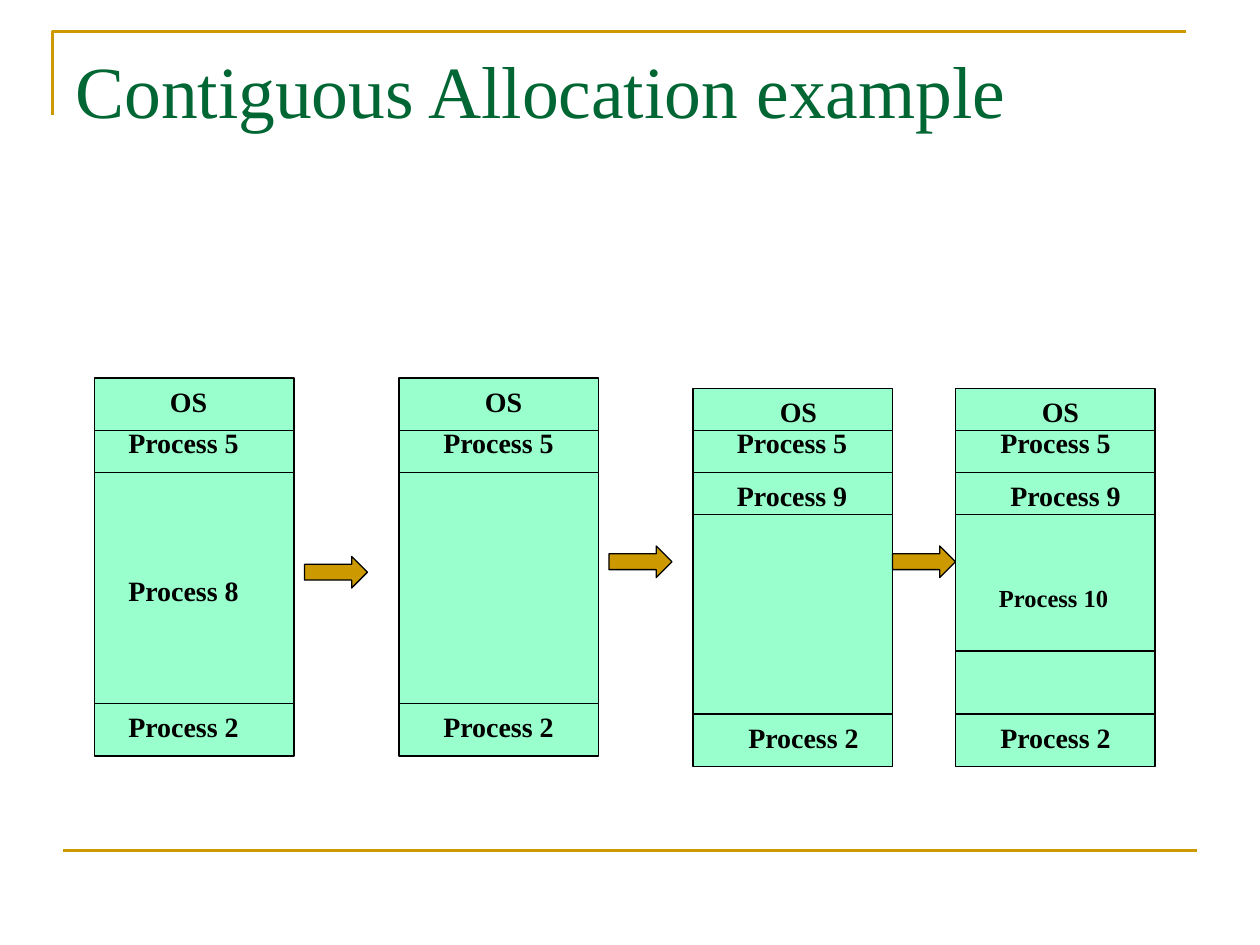
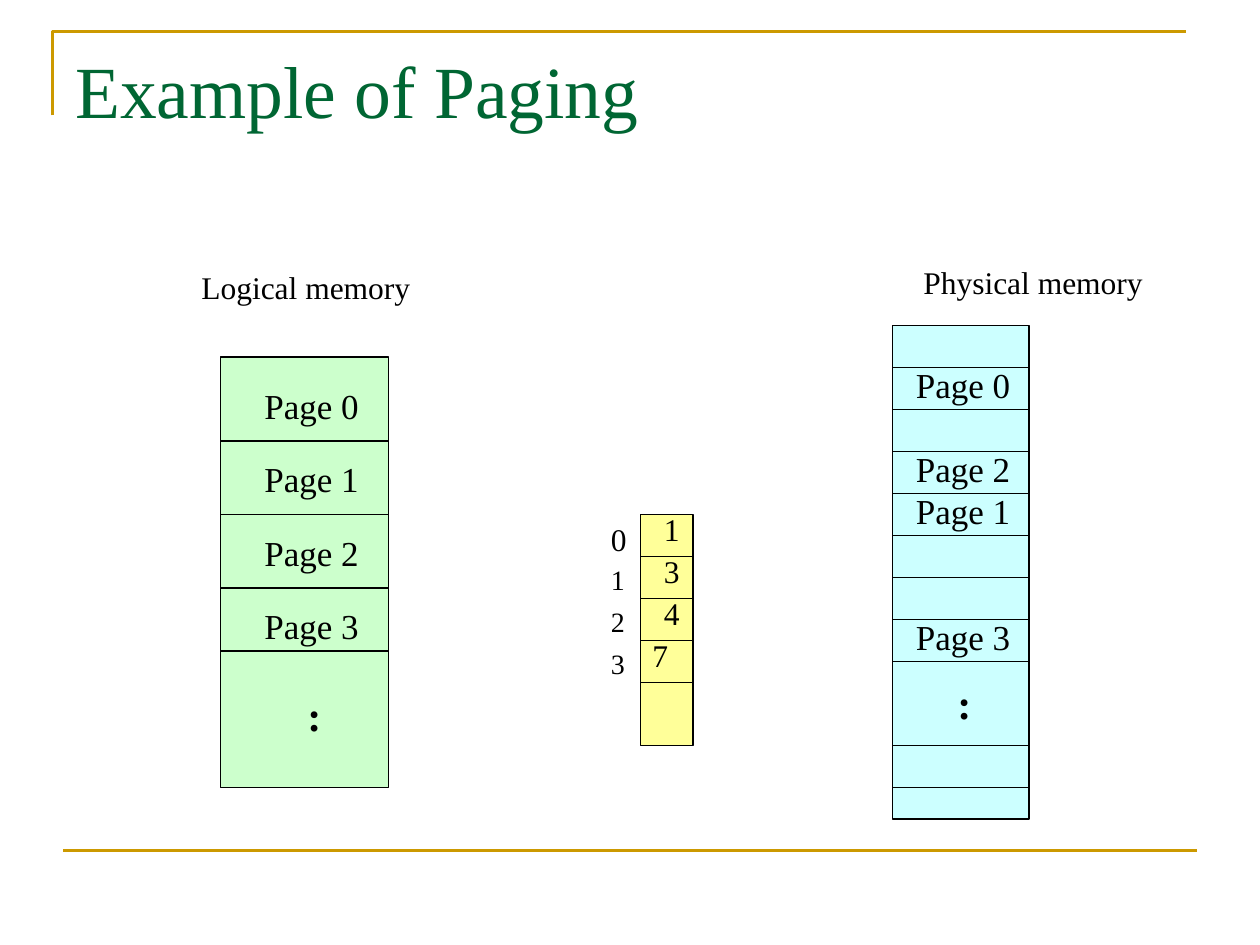
"""Two slides on memory management: contiguous allocation and paging."""
from dataclasses import dataclass

from lxml import etree
from pptx import Presentation
from pptx.dml.color import RGBColor
from pptx.enum import shapes, text
from pptx.oxml import ns
from pptx.util import Inches, Length, Pt

COLORS = {
    "gold": "CC9900", "title": "006633", "black": "000000",
    "mint": "99FFCC", "green": "CCFFCC", "yellow": "FFFF99", "cyan": "CCFFFF",
}
FONT = "Times New Roman"
THIN, RULE = 0.74, 1.5
GRID = 12  # drawn parts sit on twelfths of an inch
ROW = 1 / 3  # height of a regular memory cell, in inches
PAGE_WIDTH, DIGIT_WIDTH = 0.95, 0.32


@dataclass
class Label:
    """A single line of text; its height follows from its size."""
    words: str
    left: float
    top: float
    width: float
    size: int = 16
    bold: bool = False


@dataclass
class MemoryBlock:
    """A filled column cut into cells at the given heights."""
    left: float
    top: float
    width: float
    height: float
    fill: str
    dividers: list[float]


@dataclass
class ProcessStage:
    """One state of memory, with its cells and the processes in them."""
    left: float
    top: float
    dividers: list[float]
    processes: list[tuple[str, float, float]]
    os_left: float


def color(name: str) -> RGBColor:
    """Look up a named colour."""
    return RGBColor.from_string(COLORS[name])


def snap(value: float) -> Length:
    """Return a length moved to the nearest grid line."""
    return Inches(round(value * GRID) / GRID)


def style_outline(shape, fill: str, outline: str = "black") -> None:
    """Give a shape a flat fill and a thin outline."""
    shape.shadow.inherit = False
    shape.fill.solid()
    shape.fill.fore_color.rgb = color(fill)
    shape.line.color.rgb = color(outline)
    shape.line.width = Pt(THIN)


def add_rule(slide, left: float, right: float, y: float,
             name: str = "black", width: float = THIN) -> None:
    """Draw a horizontal line."""
    line = slide.shapes.add_connector(
        shapes.MSO_CONNECTOR.STRAIGHT,
        snap(left), snap(y), snap(right), snap(y))
    line.line.color.rgb = color(name)
    line.line.width = Pt(width)
    etree.SubElement(line._element.spPr, ns.qn("a:effectLst"))


def add_label(slide, label: Label) -> None:
    """Place a line of black text."""
    box = slide.shapes.add_textbox(
        Inches(label.left), Inches(label.top),
        Inches(label.width), Inches(0.1 + label.size / 60))
    box.text_frame.word_wrap = False
    paragraph = box.text_frame.paragraphs[0]
    paragraph.text = label.words
    paragraph.font.name = FONT
    paragraph.font.size = Pt(label.size)
    paragraph.font.bold = label.bold
    paragraph.font.color.rgb = color("black")


def add_block(slide, block: MemoryBlock) -> None:
    """Draw a memory column with its dividers."""
    rectangle = slide.shapes.add_shape(
        shapes.MSO_SHAPE.RECTANGLE, snap(block.left), snap(block.top),
        snap(block.width), snap(block.height))
    style_outline(rectangle, block.fill)
    for y in block.dividers:
        add_rule(slide, block.left, block.left + block.width, y)


def add_arrow(slide, left: float, top: float) -> None:
    """Draw a block arrow between two stages."""
    arrow = slide.shapes.add_shape(
        shapes.MSO_SHAPE.RIGHT_ARROW, snap(left), snap(top),
        Inches(0.5), Inches(0.25))
    style_outline(arrow, "gold")


def add_base_slide(presentation, title: str):
    """Add a slide with the corner frame, bottom rule and title."""
    slide = presentation.slides.add_slide(presentation.slide_layouts[6])
    builder = slide.shapes.build_freeform(snap(0.42), snap(0.92))
    builder.add_line_segments(
        [(snap(0.42), snap(0.25)), (snap(9.42), snap(0.25))], close=False)
    frame = builder.convert_to_shape()
    frame.shadow.inherit = False
    frame.fill.background()
    frame.line.color.rgb = color("gold")
    frame.line.width = Pt(RULE)
    add_rule(slide, 0.5, 9.5, 6.75, "gold", RULE)

    box = slide.shapes.add_textbox(
        Inches(0.5), Inches(0.3), Inches(9), Inches(1.25))
    box.text_frame.word_wrap = True
    box.text_frame.margin_top = Inches(0.06)
    box.text_frame.vertical_anchor = text.MSO_ANCHOR.TOP
    paragraph = box.text_frame.paragraphs[0]
    paragraph.text = title
    paragraph.font.name = FONT
    paragraph.font.size = Pt(42)
    paragraph.font.color.rgb = color("title")
    return slide


def add_stage(slide, stage: ProcessStage) -> None:
    """Draw one allocation state with its process names."""
    add_block(slide, MemoryBlock(
        stage.left, stage.top, 1.58, 3, "mint", stage.dividers))
    add_label(slide, Label("OS", stage.os_left, stage.top, 0.52, bold=True))
    for number, left, top in stage.processes:
        size = 14 if number == "10" else 16
        add_label(slide, Label(
            f"Process {number}", left, top, 1.09, size, True))


def build_allocation(presentation) -> None:
    """Build the slide on contiguous allocation."""
    slide = add_base_slide(presentation, "Contiguous Allocation example")
    stages = [
        ProcessStage(0.75, 3, [3.42, 3.75, 5.58],
                     [("5", 0.92, 3.33), ("8", 0.92, 4.5),
                      ("2", 0.92, 5.58)], 1.25),
        ProcessStage(3.17, 3, [3.42, 3.75, 5.58],
                     [("5", 3.42, 3.33), ("2", 3.42, 5.58)], 3.75),
        ProcessStage(5.5, 3.08, [3.42, 3.75, 4.08, 5.67],
                     [("5", 5.75, 3.33), ("9", 5.75, 3.75),
                      ("2", 5.84, 5.67)], 6.09),
        ProcessStage(7.58, 3.08, [3.42, 3.75, 4.08, 5.17, 5.67],
                     [("5", 7.84, 3.33), ("9", 7.92, 3.75),
                      ("10", 7.83, 4.58), ("2", 7.84, 5.67)], 8.17),
    ]
    for stage in stages:
        add_stage(slide, stage)
    for left, top in [(2.42, 4.42), (4.83, 4.33), (7.08, 4.33)]:
        add_arrow(slide, left, top)


def build_paging(presentation) -> None:
    """Build the slide on logical pages, page table and frames."""
    slide = add_base_slide(presentation, "Example of Paging")
    logical_top, table_top, physical_top = 2.83, 4.08, 2.58
    table_entries = [1, 3, 4, 7]
    page_rows = [1, 4, 3, 7]  # row of each page in physical memory
    blocks = [
        MemoryBlock(1.75, logical_top, 1.33, 3.42, "green",
                    [3.5, 4.08, 4.67, 5.17]),
        MemoryBlock(5.08, table_top, 0.42, 1.83, "yellow",
                    [table_top + ROW * row for row in range(1, 5)]),
        MemoryBlock(7.08, physical_top, 1.08, 3.92, "cyan",
                    [physical_top + ROW * row
                     for row in (*range(1, 9), 10, 11)]),
    ]
    for block in blocks:
        add_block(slide, block)

    labels = [
        Label("Logical memory", 1.5, 2.08, 1.86, 18),
        Label("Physical memory", 7.23, 2.04, 1.94, 18),
        Label(":", 2.34, 5.42, 0.31, 24, True),
        Label(":", 7.5, 5.33, 0.31, 24, True),
    ]
    for page, (entry, row) in enumerate(zip(table_entries, page_rows)):
        name = f"Page {page}"
        entry_left = 5.08 if entry == 7 else 5.17
        index_size = 18 if page == 0 else 16
        labels += [
            Label(name, 2, 3 + 7 / 12 * page, PAGE_WIDTH, 20),
            Label(str(page), 4.75, table_top + ROW * page,
                  DIGIT_WIDTH, index_size),
            Label(str(entry), entry_left, 4 + ROW * page, DIGIT_WIDTH, 18),
            Label(name, 7.17, 2.5 + ROW * row, PAGE_WIDTH, 20),
        ]
    for label in labels:
        add_label(slide, label)


def main() -> None:
    """Build and save the presentation."""
    presentation = Presentation()
    presentation.slide_width = Inches(10)
    presentation.slide_height = Inches(7.5)
    build_allocation(presentation)
    build_paging(presentation)
    presentation.save("out.pptx")


main()
